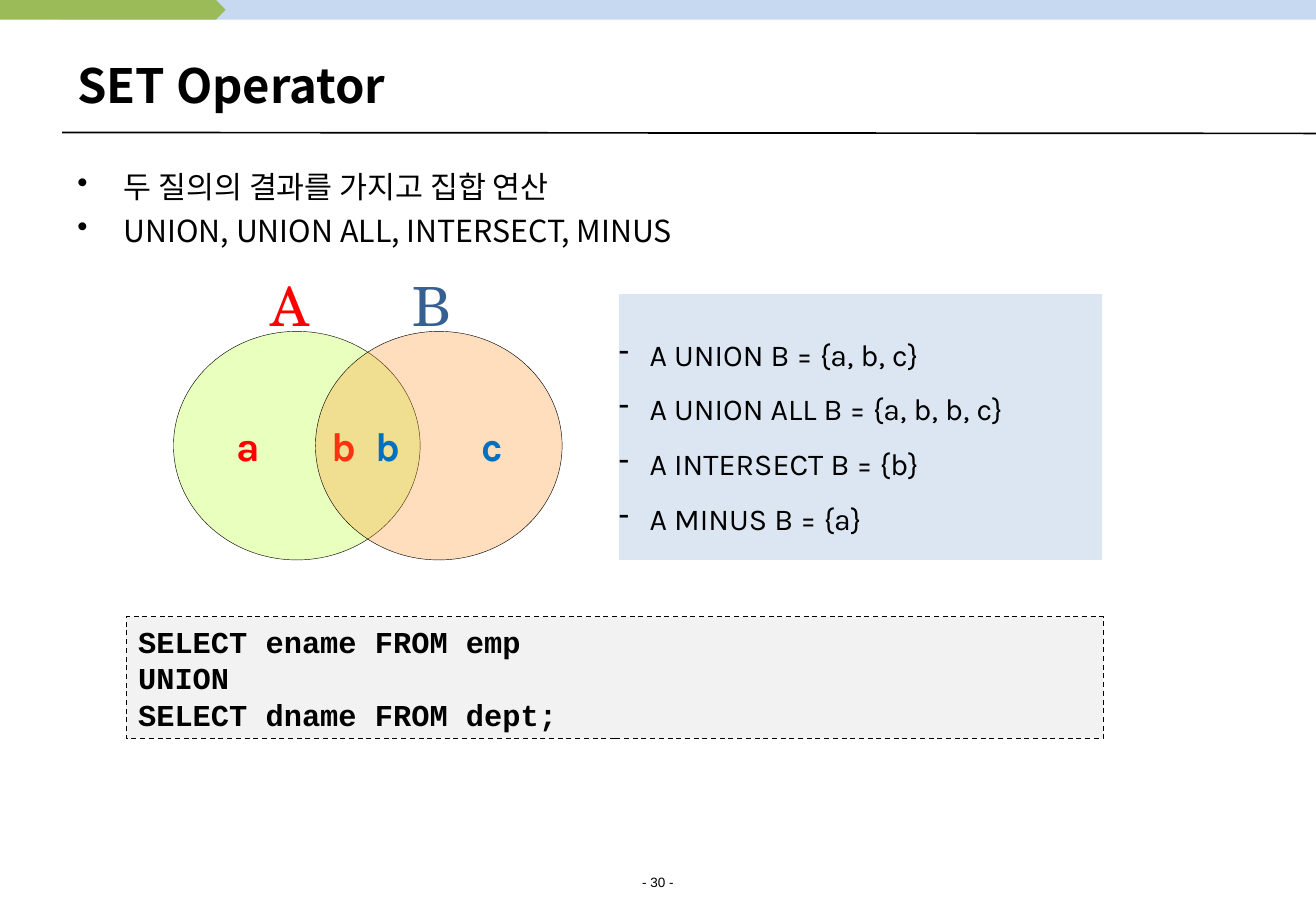
from lxml import etree
from pptx import Presentation
from pptx.dml.color import RGBColor
from pptx.enum.dml import MSO_LINE
from pptx.enum.shapes import MSO_CONNECTOR, MSO_SHAPE
from pptx.enum.text import MSO_ANCHOR, PP_ALIGN
from pptx.oxml.ns import qn
from pptx.util import Cm, Pt

RECTANGLE, ELLIPSE = MSO_SHAPE.RECTANGLE, MSO_SHAPE.OVAL
STRAIGHT = MSO_CONNECTOR.STRAIGHT
DASH = MSO_LINE.DASH
LEFT, CENTER = PP_ALIGN.LEFT, PP_ALIGN.CENTER
TOP, MIDDLE = MSO_ANCHOR.TOP, MSO_ANCHOR.MIDDLE

BLACK = RGBColor(0, 0, 0)
RED = RGBColor(0xFF, 0, 0)
BLUE = RGBColor(0, 0x70, 0xC0)
DARK_BLUE = RGBColor(0x37, 0x60, 0x92)
BAND_BLUE = RGBColor(0xC6, 0xD9, 0xF1)
TAG_GREEN = RGBColor(0x9B, 0xBB, 0x59)
LIME = RGBColor(0xCC, 0xFF, 0x66)
ORANGE = RGBColor(0xFF, 0x99, 0x33)
PALE_BLUE = RGBColor(0xDC, 0xE6, 0xF2)
PALE_GRAY = RGBColor(0xF2, 0xF2, 0xF2)

SANS, LETTERS, SERIF = "Noto Sans CJK KR", "Karla", "TeX Gyre Schola"
SLIDE_WIDTH, SLIDE_HEIGHT = 27.53, 19.05


def box_lengths(box):
    return [Cm(value) for value in box]


def paint(shape, fill, line=None, width=0.75, opacity=None):
    shape.shadow.inherit = False
    shape.fill.solid()
    shape.fill.fore_color.rgb = fill
    if opacity is not None:
        color = shape.fill._xPr.find(qn("a:solidFill"))[0]
        etree.SubElement(color, qn("a:alpha"), val=str(opacity * 1000))
    if line is None:
        shape.line.fill.background()
    else:
        shape.line.color.rgb = line
        shape.line.width = Pt(width)


def write(shape, lines, size, font, color=BLACK, bold=False, align=LEFT,
          anchor=TOP, insets=(0.25, 0.13), bullet=None, hanging=0, tab=None,
          spacing=None, before=None):
    frame = shape.text_frame
    frame.word_wrap = True
    frame.vertical_anchor = anchor
    frame.margin_left = frame.margin_right = Cm(insets[0])
    frame.margin_top = frame.margin_bottom = Cm(insets[1])
    frame.text = "\n".join(lines)
    for paragraph in frame.paragraphs:
        paragraph.alignment = align
        properties = paragraph._p.get_or_add_pPr()
        if bullet:
            properties.set("marL", str(Cm(hanging)))
            properties.set("indent", str(-Cm(hanging)))
            etree.SubElement(properties, qn("a:buChar"), char=bullet)
        if tab:
            tabs = etree.SubElement(properties, qn("a:tabLst"))
            etree.SubElement(tabs, qn("a:tab"), pos=str(Cm(tab)), algn="l")
        if spacing:
            paragraph.line_spacing = spacing
        if before:
            paragraph.space_before = Pt(before)
        paragraph.font.size = Pt(size)
        paragraph.font.name = font
        paragraph.font.bold = bold
        paragraph.font.color.rgb = color
        # East Asian typeface for the Korean text
        etree.SubElement(properties.find(qn("a:defRPr")), qn("a:ea"), typeface=font)


def add_text(slide, box, lines, size, font, **style):
    write(slide.shapes.add_textbox(*box_lengths(box)), lines, size, font, **style)


def add_frame(slide, box):
    left, top, width, height = box
    # Top band with its arrow tag
    band_height, tag_width, tip = 0.41, 4.72, 0.2
    band = slide.shapes.add_shape(
        RECTANGLE, *box_lengths((left + 1.3, top, width - 1.3, band_height)))
    paint(band, BAND_BLUE)
    outline = [(0, 0), (tag_width - tip, 0), (tag_width, band_height / 2),
               (tag_width - tip, band_height), (0, band_height)]
    points = [(Cm(left + x), Cm(top + y)) for x, y in outline]
    builder = slide.shapes.build_freeform(*points[0])
    builder.add_line_segments(points[1:], close=True)
    paint(builder.convert_to_shape(), TAG_GREEN)

    # Rule under the title
    rule = slide.shapes.add_connector(
        STRAIGHT, Cm(left + 1.3), Cm(top + 2.77), Cm(left + width), Cm(top + 2.79))
    rule.line.color.rgb = BLACK
    rule.line.width = Pt(1)
    etree.SubElement(rule._element.spPr, qn("a:effectLst"))

    # Page number
    add_text(slide, (left, top + height - 0.91, width, 0.61), ["- 30 -"], 8,
             "Arial", align=CENTER, before=5)


def add_heading(slide, box):
    title = slide.shapes.title
    title.left, title.top, title.width, title.height = box_lengths(box)
    write(title, ["SET Operator"], 28, SANS, bold=True, anchor=MIDDLE)


def add_venn(slide, box):
    left, top, width, height = box
    label_height, circle_width = 1.37, 5.16
    step = width - circle_width
    circles = [  # name, its colour, fill, opacity, members, their colour, inset, tab
        ("A", RED, LIME, 42, "a\tb", RED, 0.57, 1.98),
        ("B", DARK_BLUE, ORANGE, 32, "b\tc", BLUE, 0.5, 2.22),
    ]
    for index, (name, name_color, fill, opacity, members, color, inset,
                tab) in enumerate(circles):
        x = left + index * step
        circle = slide.shapes.add_shape(ELLIPSE, *box_lengths(
            (x, top + label_height, circle_width, height - label_height)))
        paint(circle, fill, BLACK, 0.25, opacity)
        write(circle, [members], 24, LETTERS, color=color, bold=True,
              anchor=MIDDLE, insets=(inset, 0), tab=tab)
        circle.text_frame.margin_right = 0
        add_text(slide, (x + 1.78, top, 1.3, 1.63), [name], 32, SERIF,
                 color=name_color, align=CENTER)


def add_results(slide, box):
    panel = slide.shapes.add_shape(RECTANGLE, *box_lengths(box))
    paint(panel, PALE_BLUE)
    write(panel, ["A UNION B = {a, b, c}", "A UNION ALL B = {a, b, b, c}",
                  "A INTERSECT B = {b}", "A MINUS B = {a}"],
          18, LETTERS, anchor=MIDDLE, insets=(0, 0), bullet="-", hanging=0.64,
          spacing=1.5)


def add_query(slide, box):
    panel = slide.shapes.add_shape(RECTANGLE, *box_lengths(box))
    paint(panel, PALE_GRAY, BLACK)
    panel.line.dash_style = DASH
    write(panel, ["SELECT ename FROM emp", "UNION", "SELECT dname FROM dept;"],
          18, "Courier New", bold=True)


def main():
    presentation = Presentation()
    presentation.slide_width = Cm(SLIDE_WIDTH)
    presentation.slide_height = Cm(SLIDE_HEIGHT)
    slide = presentation.slides.add_slide(presentation.slide_layouts[5])
    add_frame(slide, (0, 0, SLIDE_WIDTH, SLIDE_HEIGHT))
    add_heading(slide, (1.37, 0.76, 25.7, 2.01))
    add_text(slide, (1.37, 3.38, 24.77, 13.64),
             ["두 질의의 결과를 가지고 집합 연산", "UNION, UNION ALL, INTERSECT, MINUS"],
             18, SANS, bullet="•", hanging=0.97, before=4.5)
    add_venn(slide, (3.63, 5.56, 8.13, 6.15))
    add_results(slide, (12.95, 6.15, 10.11, 5.56))
    add_query(slide, (2.64, 12.9, 20.45, 2.54))
    presentation.save("out.pptx")


if __name__ == "__main__":
    main()
